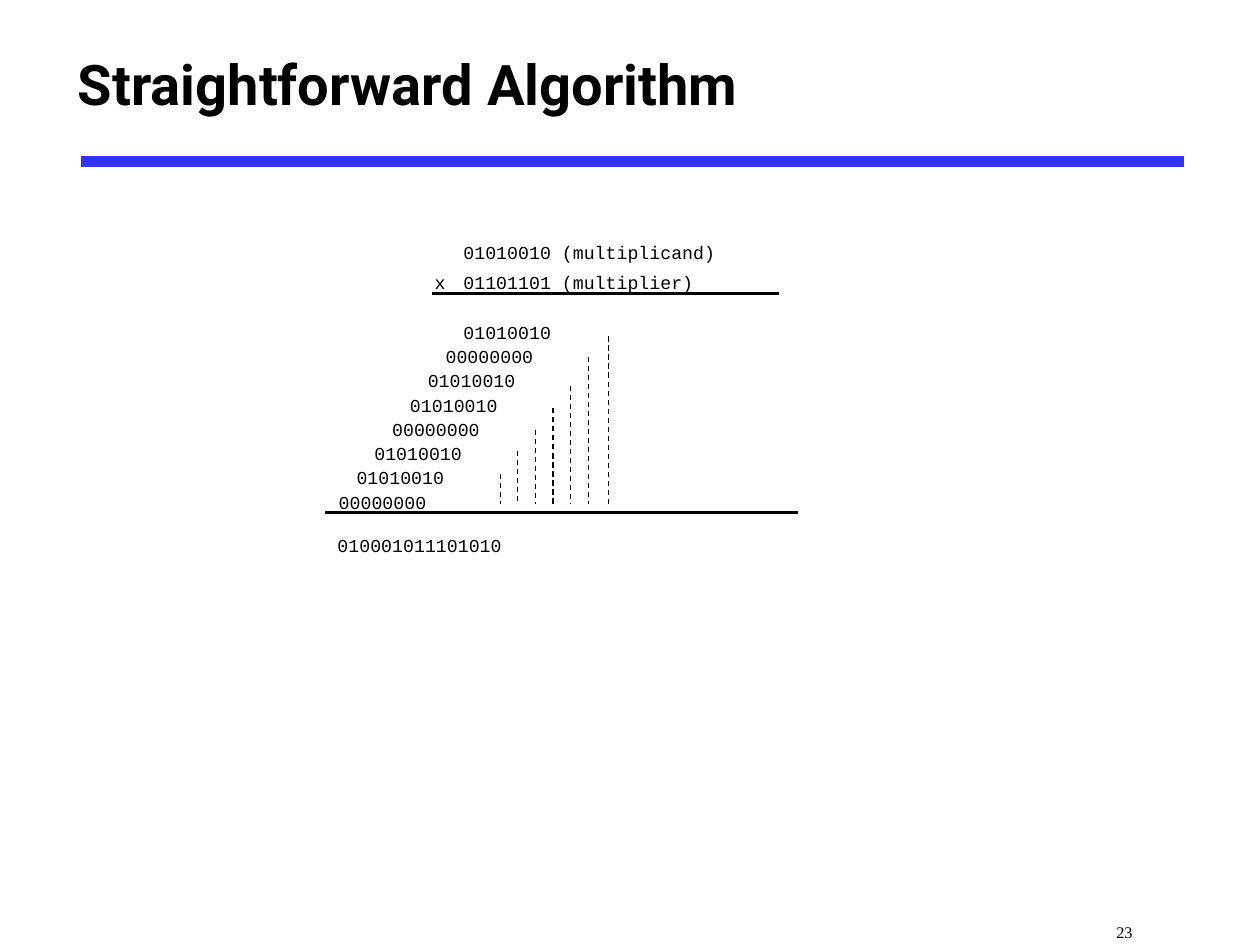
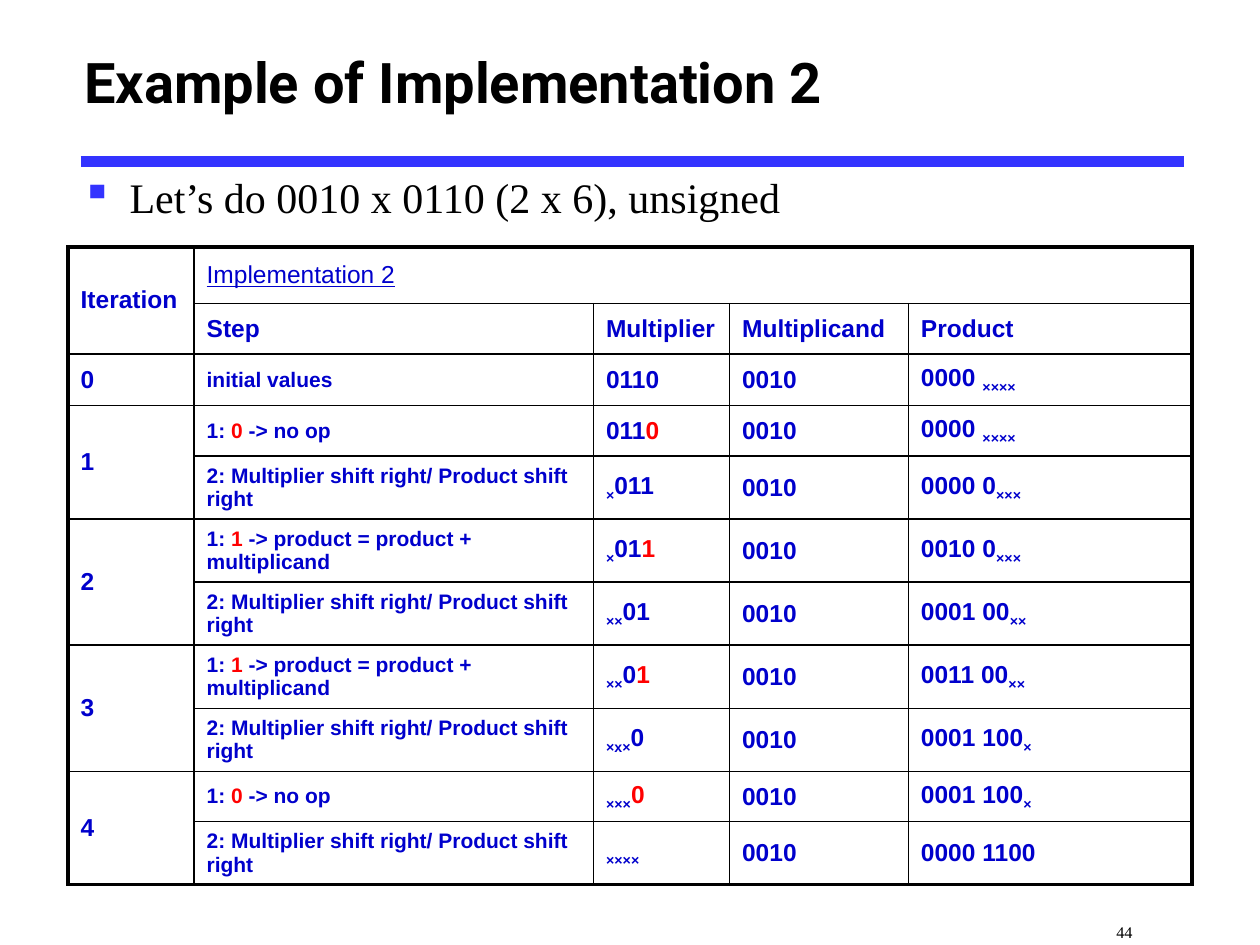
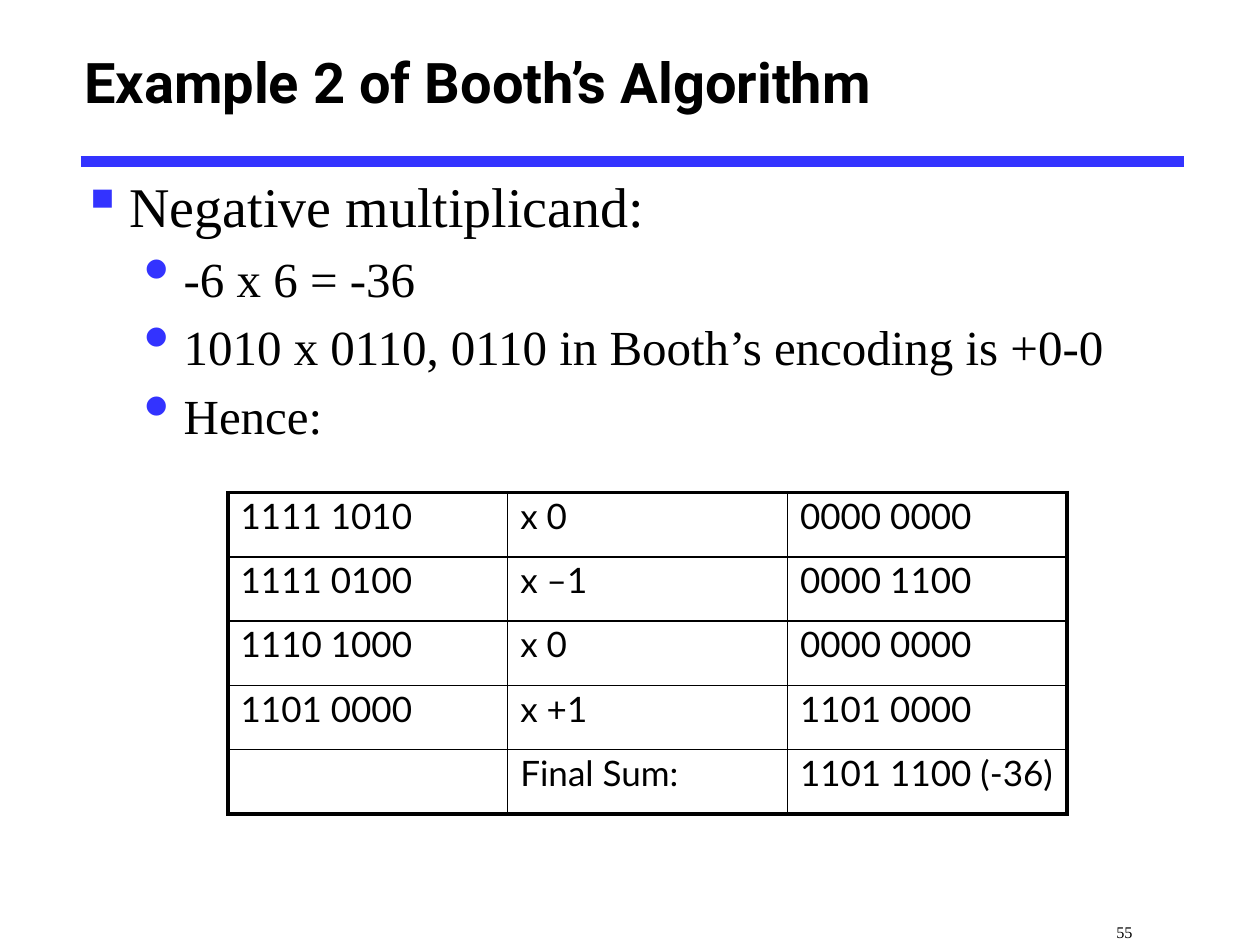
from dataclasses import dataclass

from lxml import etree
from pptx import Presentation
from pptx.dml.color import RGBColor
from pptx.enum.dml import MSO_LINE
from pptx.enum.shapes import MSO_CONNECTOR
from pptx.enum.text import MSO_ANCHOR
from pptx.oxml.ns import qn
from pptx.util import Inches, Pt

STRAIGHT = MSO_CONNECTOR.STRAIGHT
DASH = MSO_LINE.DASH
TOP, MIDDLE = MSO_ANCHOR.TOP, MSO_ANCHOR.MIDDLE


@dataclass(frozen=True)
class Theme:
    ink: str = "000000"
    accent: str = "3333FF"
    cell: str = "0000CC"
    hot: str = "FF0000"
    title_font: str = "Roboto"
    body_font: str = "Times New Roman"
    code_font: str = "Courier New"
    grid_font: str = "Arial"
    sum_font: str = "Lato"
    title: int = 32
    body: int = 24
    head: int = 32
    sub: int = 28
    code: int = 18
    page: int = 16
    grid: int = 14
    step: int = 12
    sum: int = 20
    outer: float = 2.25
    inner: float = 1
    low: str = "-25000"


THEME = Theme()

MULTIPLICAND = "01010010"
MULTIPLIER = "01101101"
DASH_X = (4.83, 4.67, 4.53, 4.39, 4.25, 4.11, 3.97)
DASH_TOP = (2.67, 2.83, 3.06, 3.24, 3.41, 3.58, 3.76)

# In table text, "|" parts the runs, "!" marks a tested bit, "_" a subscript.
NO_OP = "1: |!0| -> no op"
ADD = "1: |!1| -> product = product + multiplicand"
SHIFT = "2: Multiplier shift right/ Product shift right"
TRACE = (
    ("Iteration", "Implementation 2", "", "", ""),
    ("", "Step", "Multiplier", "Multiplicand", "Product"),
    ("0", "initial values", "0110", "0010", "0000 |_××××"),
    ("1", NO_OP, "011|!0", "0010", "0000 |_××××"),
    ("", SHIFT, "_×|011", "0010", "0000 0|_×××"),
    ("2", ADD, "_×|01|!1", "0010", "0010 0|_×××"),
    ("", SHIFT, "_××|01", "0010", "0001 00|_××"),
    ("3", ADD, "_××|0|!1", "0010", "0011 00|_××"),
    ("", SHIFT, "_×x×|0", "0010", "0001 100|_×"),
    ("4", NO_OP, "_×××|!0", "0010", "0001 100|_×"),
    ("", SHIFT, "_××××", "0010", "0000 1100"),
)
SUMS = (
    ("1111 1010", "x 0", "0000 0000"),
    ("1111 0100", "x –1", "0000 1100"),
    ("1110 1000", "x 0", "0000 0000"),
    ("1101 0000", "x +1", "1101 0000"),
    ("", "Final Sum:", "1101 1100 (-36)"),
)


def style(para, size, face, color=THEME.ink, bold=False):
    font = para.font
    font.size, font.name, font.bold = Pt(size), face, bold
    font.color.rgb = RGBColor.from_string(color)


def space(para):
    """Set the space before to a fifth of the line."""
    para._p.get_or_add_pPr().get_or_add_spcBef().set_spcPct(0.2)


def box(slide, left, top, width, height, anchor=TOP):
    frame = slide.shapes.add_textbox(
        Inches(left), Inches(top), Inches(width), Inches(height)).text_frame
    frame.word_wrap = True
    frame.vertical_anchor = anchor
    return frame


def small(slide, text, left, top, width, height, size, face, inset=0.1):
    """Add a text box whose text is set as a subscript."""
    frame = box(slide, left, top, width, height)
    frame.margin_left = Inches(inset)
    para = frame.paragraphs[0]
    run = para.add_run()
    run.text = text
    run._r.get_or_add_rPr().set("baseline", THEME.low)
    space(para)
    style(para, size, face)


def code(slide, text, left, top, width=1.4):
    small(slide, text, left, top, width, 0.4, THEME.code, THEME.code_font)


def rule(slide, start, end, width, color=THEME.ink, dash=None):
    line = slide.shapes.add_connector(
        STRAIGHT, *(Inches(n) for n in (*start, *end)))
    line.line.width = Pt(width)
    line.line.color.rgb = RGBColor.from_string(color)
    if dash:
        line.line.dash_style = dash
    etree.SubElement(line._element.spPr, qn("a:effectLst"))


def page(deck, title, number, left=0.57, top=0.08):
    """Add a slide with its band, title and page number."""
    slide = deck.slides.add_slide(deck.slide_layouts[6])
    rule(slide, (0.64, 1.28), (9.4, 1.28), 6, THEME.accent)
    para = box(slide, left, top, 8.5, 1.12, MIDDLE).paragraphs[0]
    para.text = title
    style(para, THEME.title, THEME.title_font, bold=True)
    small(slide, str(number), 7.9, 7.12, 2.1, 0.38,
          THEME.page, THEME.body_font, 0.96)
    return slide


def bullet(para, text, size, level=0):
    para.text = text
    para.level = level
    space(para)
    left, hang, mark = ((0.38, 0.38, "▪"), (0.81, 0.31, "•"))[level]
    props = para._p.get_or_add_pPr()
    props.set("marL", str(Inches(left)))
    props.set("indent", str(-Inches(hang)))
    color = etree.SubElement(props, qn("a:buClr"))
    etree.SubElement(color, qn("a:srgbClr"), val=THEME.accent)
    if level:
        etree.SubElement(props, qn("a:buSzPct"), val="150000")
    etree.SubElement(props, qn("a:buChar"), char=mark)
    style(para, size, THEME.body_font)


def bullets(slide, items):
    frame = box(slide, 0.55, 1.31, 9.2, 6.12)
    for i, item in enumerate(items):
        para = frame.add_paragraph() if i else frame.paragraphs[0]
        bullet(para, *item)


def fill(para, text):
    """Write marked text as runs."""
    for part in text.split("|"):
        run = para.add_run()
        run.text = part.lstrip("!_")
        if part.startswith("!"):
            run.font.color.rgb = RGBColor.from_string(THEME.hot)
        elif part.startswith("_"):
            run._r.get_or_add_rPr().set("baseline", THEME.low)


def border(cell, edges):
    props = cell._tc.get_or_add_tcPr()
    for side, outer in edges.items():
        width = Pt(THEME.outer if outer else THEME.inner)
        line = etree.SubElement(props, qn(f"a:ln{side}"), w=str(width))
        paint = etree.SubElement(line, qn("a:solidFill"))
        etree.SubElement(paint, qn("a:srgbClr"), val=THEME.ink)


def grid(slide, data, left, top, cols, rows, spans=(), anchor=TOP):
    """Add a table with a thick frame; spans pair corner cells to merge."""
    table = slide.shapes.add_table(
        len(rows), len(cols), Inches(left), Inches(top),
        Inches(sum(cols)), Inches(sum(rows))).table
    table.first_row = table.horz_banding = False
    for col, width in zip(table.columns, cols):
        col.width = Inches(width)
    for row, height in zip(table.rows, rows):
        row.height = Inches(height)
    for first, last in spans:
        table.cell(*first).merge(table.cell(*last))
    for r, texts in enumerate(data):
        for c, text in enumerate(texts):
            cell = table.cell(r, c)
            border(cell, {"L": c == 0,
                          "R": c + cell.span_width == len(cols),
                          "T": r == 0,
                          "B": r + cell.span_height == len(rows)})
            cell.fill.background()
            cell.vertical_anchor = anchor
            para = cell.text_frame.paragraphs[0]
            space(para)
            if text:
                fill(para, text)
    return table


def product(deck):
    slide = page(deck, "Straightforward Algorithm", 23, 0.52, 0.1)
    code(slide, f"{MULTIPLICAND} (multiplicand)", 3.58, 1.7, 3.64)
    code(slide, f"{MULTIPLIER} (multiplier)", 3.58, 1.94, 3.34)
    code(slide, "x", 3.35, 1.94, 0.35)
    rule(slide, (3.43, 2.33), (6.18, 2.33), 1.5)
    last = len(MULTIPLIER) - 1
    for i, bit in enumerate(reversed(MULTIPLIER)):
        part = MULTIPLICAND if bit == "1" else "0" * len(MULTIPLICAND)
        code(slide, part, 3.58 - 0.99 * i / last, 2.33 + 1.35 * i / last)
    rule(slide, (2.58, 4.07), (6.33, 4.07), 1.5)
    code(slide, "010001011101010", 2.58, 4.02, 2.75)
    for x, y in zip(DASH_X, DASH_TOP):
        rule(slide, (x, y), (x, 4), 0.75, dash=DASH)


def trace(deck):
    slide = page(deck, "Example of Implementation 2", 44)
    bullets(slide, [("Let’s do 0010 x 0110 (2 x 6), unsigned", THEME.body)])
    spans = [((0, 0), (1, 0)), ((0, 1), (0, 4))]
    spans += [((r, 0), (r + 1, 0)) for r in range(3, len(TRACE), 2)]
    rows = [0.45, 0.4, 0.41, 0.4] + [0.5] * 5 + [0.4, 0.5]
    table = grid(slide, TRACE, 0.54, 1.96, (1, 3.17, 1.08, 1.42, 2.25),
                 rows, spans, MIDDLE)
    for r in range(len(TRACE)):
        for c in range(len(TRACE[0])):
            size = THEME.step if c == 1 and r > 1 else THEME.grid
            style(table.cell(r, c).text_frame.paragraphs[0], size,
                  THEME.grid_font, THEME.cell, True)
    name = table.cell(0, 1).text_frame.paragraphs[0].font
    name.bold, name.underline = False, True


def booth(deck):
    slide = page(deck, "Example 2 of Booth’s Algorithm", 55)
    bullets(slide, [
        ("Negative multiplicand:", THEME.head),
        ("-6 x 6 = -36", THEME.sub, 1),
        ("1010 x 0110, 0110 in Booth’s encoding is +0-0", THEME.sub, 1),
        ("Hence:", THEME.sub, 1),
    ])
    table = grid(slide, SUMS, 1.81, 3.91, [2.22] * 3, [0.51] * len(SUMS))
    for cell in table.iter_cells():
        para = cell.text_frame.paragraphs[0]
        para.line_spacing = 0.9
        style(para, THEME.sum, THEME.sum_font)


def main():
    deck = Presentation()
    deck.slide_width, deck.slide_height = Inches(10), Inches(7.5)
    product(deck)
    trace(deck)
    booth(deck)
    deck.save("out.pptx")


if __name__ == "__main__":
    main()
